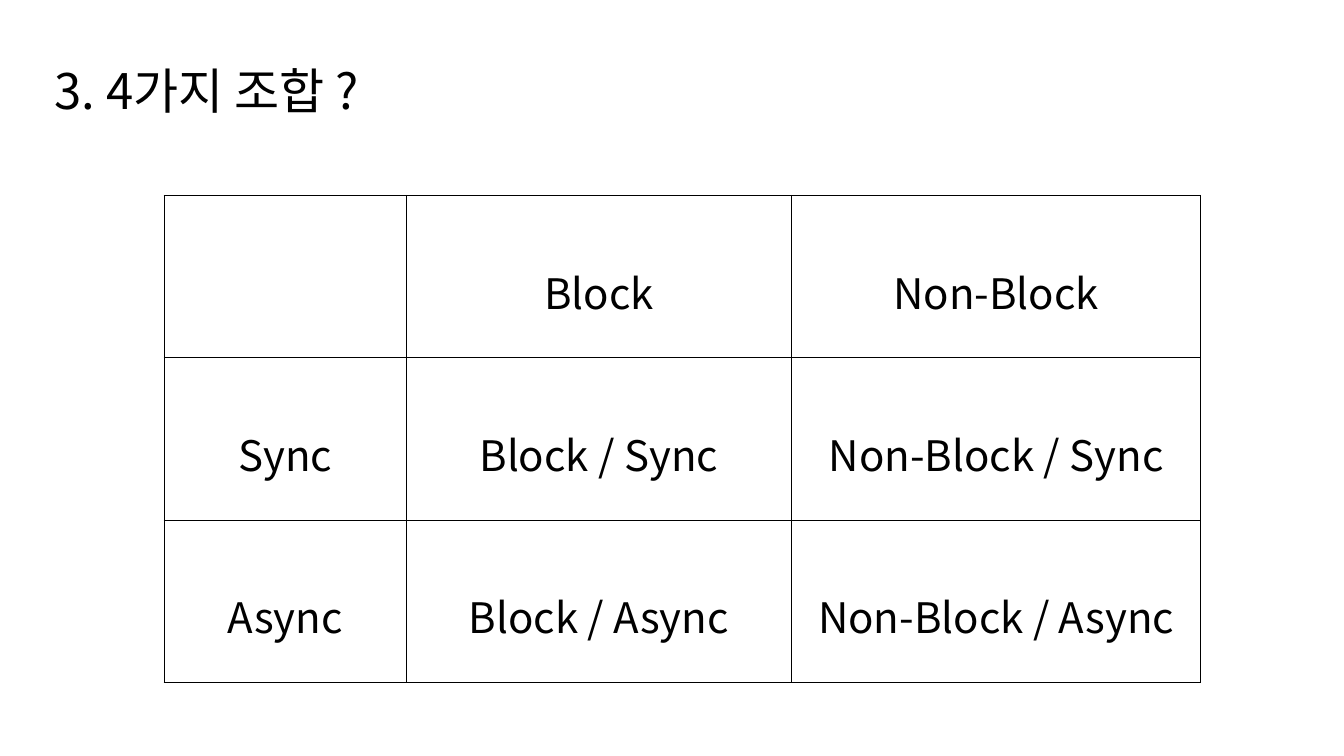
from lxml import etree
from pptx import Presentation, util as u
from pptx.dml.color import RGBColor
from pptx.enum import text
from pptx.oxml.ns import qn

BLACK = RGBColor(0, 0, 0)
FONT = "Noto Sans CJK KR"
TITLE = "3. 4가지 조합 ?"
COMBINATIONS = [
    ["", "Block", "Non-Block"],
    ["Sync", "Block / Sync", "Non-Block / Sync"],
    ["Async", "Block / Async", "Non-Block / Async"],
]
COLUMN_WIDTHS = [2.4, 3.82, 4.06]


def style_text(para, size):
    """Set size, colour and both the Latin and the Korean typeface."""
    for span in para.runs:
        span.font.size = u.Pt(size)
        span.font.name = FONT
        span.font.color.rgb = BLACK
        korean = etree.SubElement(span.font._element, qn("a:ea"))
        korean.set("typeface", FONT)


def draw_borders(cell):
    """Draw a thin black line on all four sides of a cell."""
    properties = cell._tc.get_or_add_tcPr()
    for index, side in enumerate(("lnL", "lnR", "lnT", "lnB")):
        line = etree.Element(qn(f"a:{side}"), w=str(u.Pt(1)))
        fill = etree.SubElement(line, qn("a:solidFill"))
        etree.SubElement(fill, qn("a:srgbClr"), val=str(BLACK))
        properties.insert(index, line)


def add_title(page, left, top, width, height):
    box = page.shapes.add_textbox(*map(u.Inches, (left, top, width, height)))
    frame = box.text_frame
    frame.word_wrap = True
    frame.margin_top = frame.margin_bottom = 0
    frame.text = TITLE
    style_text(frame.paragraphs[0], 35)


def add_combination_table(page, left, top, widths, row_height):
    rows = len(COMBINATIONS)
    frame = page.shapes.add_table(
        rows, len(widths), u.Inches(left), u.Inches(top),
        u.Inches(sum(widths)), u.Inches(row_height * rows))
    table = frame.table
    table.first_row = table.horz_banding = False
    for column, width in zip(table.columns, widths):
        column.width = u.Inches(width)

    # Labels sit below the middle of each cell
    for row, labels in zip(table.rows, COMBINATIONS):
        row.height = u.Inches(row_height)
        for cell, label in zip(row.cells, labels):
            cell.fill.background()
            draw_borders(cell)
            cell.margin_top = u.Inches(row_height * 0.4)
            cell.vertical_anchor = text.MSO_ANCHOR.TOP
            para = cell.text_frame.paragraphs[0]
            para.text = label
            para.alignment = text.PP_ALIGN.CENTER
            style_text(para, 30)


def main():
    deck = Presentation()
    deck.slide_width, deck.slide_height = u.Inches(13.33), u.Inches(7.5)
    page = deck.slides.add_slide(deck.slide_layouts[6])
    add_title(page, 0.44, 0.6, 11.93, 0.7)
    add_combination_table(page, 1.63, 1.94, COLUMN_WIDTHS, 1.61)
    deck.save("out.pptx")


if __name__ == "__main__":
    main()
